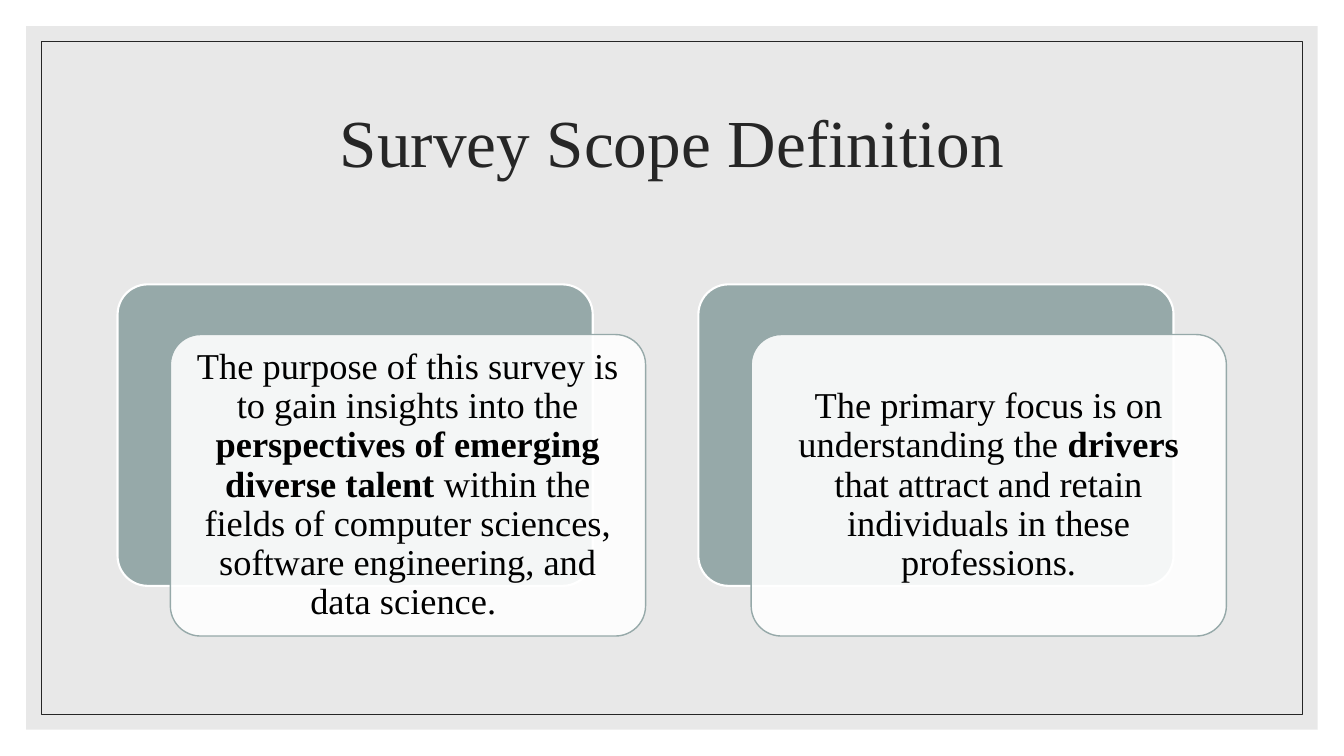
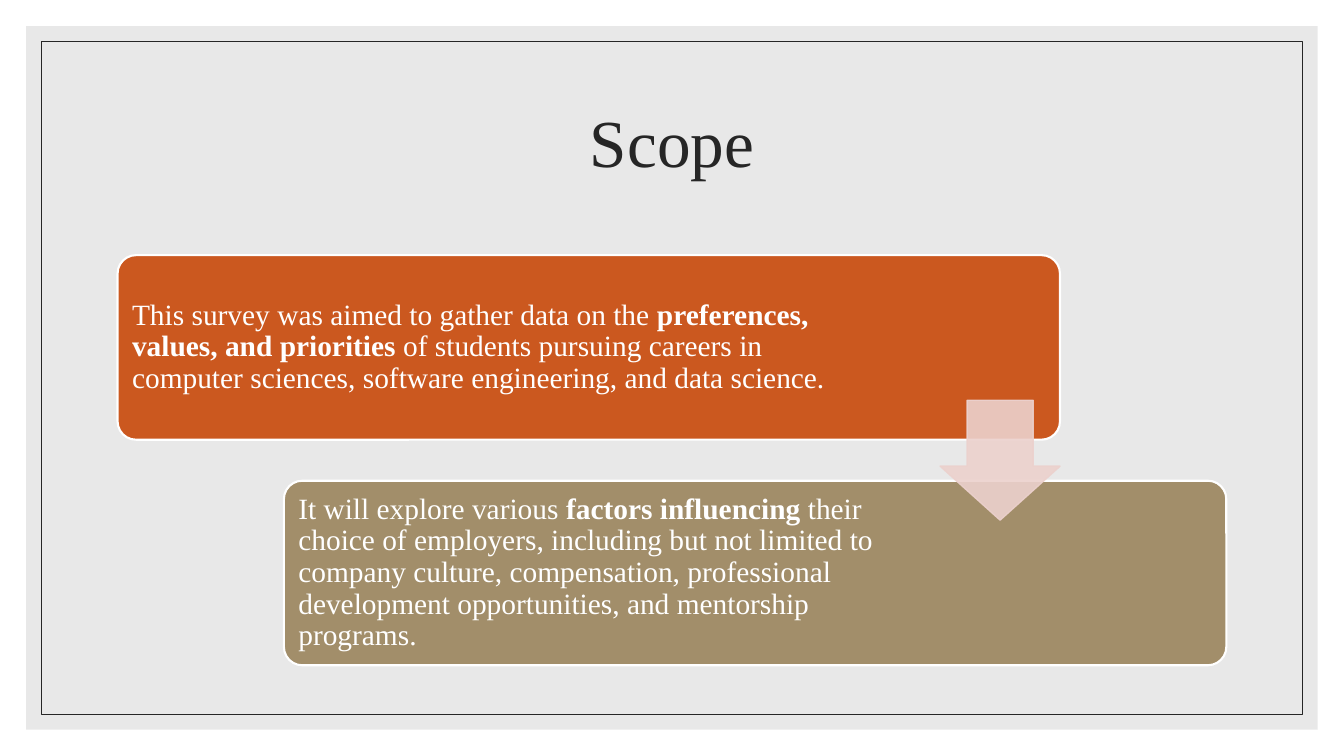
from lxml import etree
from pptx import Presentation, util as u
from pptx.dml.color import RGBColor
from pptx.enum import shapes, text
from pptx.oxml.ns import qn

# Shared style
WHITE = RGBColor(0xFF, 0xFF, 0xFF)
BLACK = RGBColor(0x00, 0x00, 0x00)
INK = RGBColor(0x26, 0x26, 0x26)
PANEL = RGBColor(0xD9, 0xD9, 0xD9)
SAGE = RGBColor(0x96, 0xA9, 0xA9)
ORANGE = RGBColor(0xCB, 0x58, 0x1F)
KHAKI = RGBColor(0xA2, 0x8E, 0x6A)
BLUSH = RGBColor(0xEC, 0xD1, 0xCD)
FONT = "Times New Roman"
KIND = shapes.MSO_SHAPE
ALIGN = text.PP_ALIGN

# Slide and content area
WIDTH, HEIGHT = u.Inches(13.333), u.Inches(7.5)
LEFT, CONTENT_WIDTH = 0.0875 * WIDTH, 0.825 * WIDTH
BODY_TOP, BODY_HEIGHT = 0.3375 * HEIGHT, 0.5425 * HEIGHT
BODY_MIDDLE = BODY_TOP + BODY_HEIGHT / 2


def set_opacity(shape, route, percent):
    for color in shape.element.spPr.findall(route + qn("a:solidFill") + "/" + qn("a:srgbClr")):
        etree.SubElement(color, qn("a:alpha")).set("val", str(percent * 1000))


def add_block(slide, kind, box, fill=None, line=None, line_width=1,
              opacity=100, line_opacity=100, adjustments=()):
    """Draw a preset shape; box is left, top, width, height."""
    shape = slide.shapes.add_shape(kind, *(int(length) for length in box))
    shape.shadow.inherit = False
    for index, value in enumerate(adjustments):
        shape.adjustments[index] = value
    if fill is None:
        shape.fill.background()
    else:
        shape.fill.solid()
        shape.fill.fore_color.rgb = fill
    if line is None:
        shape.line.fill.background()
    else:
        shape.line.color.rgb = line
        shape.line.width = u.Pt(line_width)
    if opacity < 100:
        set_opacity(shape, "", opacity)
    if line_opacity < 100:
        set_opacity(shape, qn("a:ln") + "/", line_opacity)
    return shape


def write_text(shape, parts, size, color, align=ALIGN.LEFT, inset=0.1, right_inset=None):
    """Write one paragraph; every second part is bold."""
    frame = shape.text_frame
    frame.word_wrap = True
    frame.vertical_anchor = text.MSO_ANCHOR.MIDDLE
    frame.margin_left = frame.margin_top = frame.margin_bottom = u.Inches(inset)
    frame.margin_right = u.Inches(right_inset or inset)
    paragraph = frame.paragraphs[0]
    paragraph.alignment = align
    paragraph.line_spacing = 0.9
    for index, part in enumerate(parts):
        run = paragraph.add_run()
        run.text = part
        run.font.name = FONT
        run.font.size = u.Pt(size)
        run.font.bold = index % 2 == 1
        run.font.color.rgb = color


def add_frame(slide, margin, **style):
    edge = margin * WIDTH
    add_block(slide, KIND.RECTANGLE, (edge, edge, WIDTH - 2 * edge, HEIGHT - 2 * edge), **style)


def start_slide(presentation, title):
    """Add a slide with the shared panel, border and title."""
    slide = presentation.slides.add_slide(presentation.slide_layouts[6])
    add_frame(slide, 0.0195, fill=PANEL, opacity=60)
    add_frame(slide, 0.031, line=INK, line_width=0.5)
    box = (LEFT, 0.0933 * HEIGHT, CONTENT_WIDTH, 0.2 * HEIGHT)
    title_box = slide.shapes.add_textbox(*(int(length) for length in box))
    write_text(title_box, [title], 48, INK, align=ALIGN.CENTER)
    return slide


def add_cards(slide, cards):
    """Two stacked cards on 21 columns: 9 wide, 1 of shift, 11 from card to card."""
    column = CONTENT_WIDTH / 21
    width, height, drop = 9 * column, 5.71 * column, 0.95 * column
    top = BODY_MIDDLE - (height + drop) / 2
    for index, parts in enumerate(cards):
        left = LEFT + 11 * index * column
        add_block(slide, KIND.ROUNDED_RECTANGLE, (left, top, width, height),
                  fill=SAGE, line=WHITE, line_width=1.5, adjustments=[0.1])
        card = add_block(slide, KIND.ROUNDED_RECTANGLE,
                         (left + column, top + drop, width, height),
                         fill=WHITE, opacity=90, line=SAGE, adjustments=[0.1])
        write_text(card, parts, 26, BLACK, align=ALIGN.CENTER, inset=0.11)


def add_steps(slide, steps):
    """Two bands on a 20 by 20 grid, joined by an arrow over the gap."""
    column, row = CONTENT_WIDTH / 20, BODY_HEIGHT / 20
    width, height = 17 * column, 9 * row
    for index, (color, right_inset, parts) in enumerate(steps):
        box = (LEFT + 3 * index * column, BODY_TOP + 11 * index * row, width, height)
        band = add_block(slide, KIND.ROUNDED_RECTANGLE, box, fill=color, line=WHITE,
                         line_width=1.5, adjustments=[0.1])
        write_text(band, parts, 21, WHITE, inset=0.09, right_inset=right_inset)
    side = 0.65 * height
    add_block(slide, KIND.DOWN_ARROW, (LEFT + width - side, BODY_MIDDLE - side / 2, side, side),
              fill=BLUSH, opacity=90, line=BLUSH, line_opacity=90, adjustments=[0.55, 0.45])


def main():
    presentation = Presentation()
    presentation.slide_width, presentation.slide_height = WIDTH, HEIGHT

    # Purpose and focus
    slide = start_slide(presentation, "Survey Scope Definition")
    add_cards(slide, [
        ["The purpose of this survey is to gain insights into the ",
         "perspectives of emerging diverse talent ",
         "within the fields of computer sciences, software engineering, and data science. "],
        ["The primary focus is on understanding the ", "drivers",
         " that attract and retain individuals in these professions."],
    ])

    # Data gathered, then factors explored
    slide = start_slide(presentation, "Scope")
    add_steps(slide, [
        (ORANGE, 1.89,
         ["This survey was aimed to gather data on the ", "preferences, values, and priorities ",
          "of students pursuing careers in computer sciences, software engineering, "
          "and data science."]),
        (KHAKI, 2.94,
         ["It will explore various ", "factors influencing",
          " their choice of employers, including but not limited to company culture, "
          "compensation, professional development opportunities, and mentorship programs."]),
    ])

    presentation.save("out.pptx")


if __name__ == "__main__":
    main()
